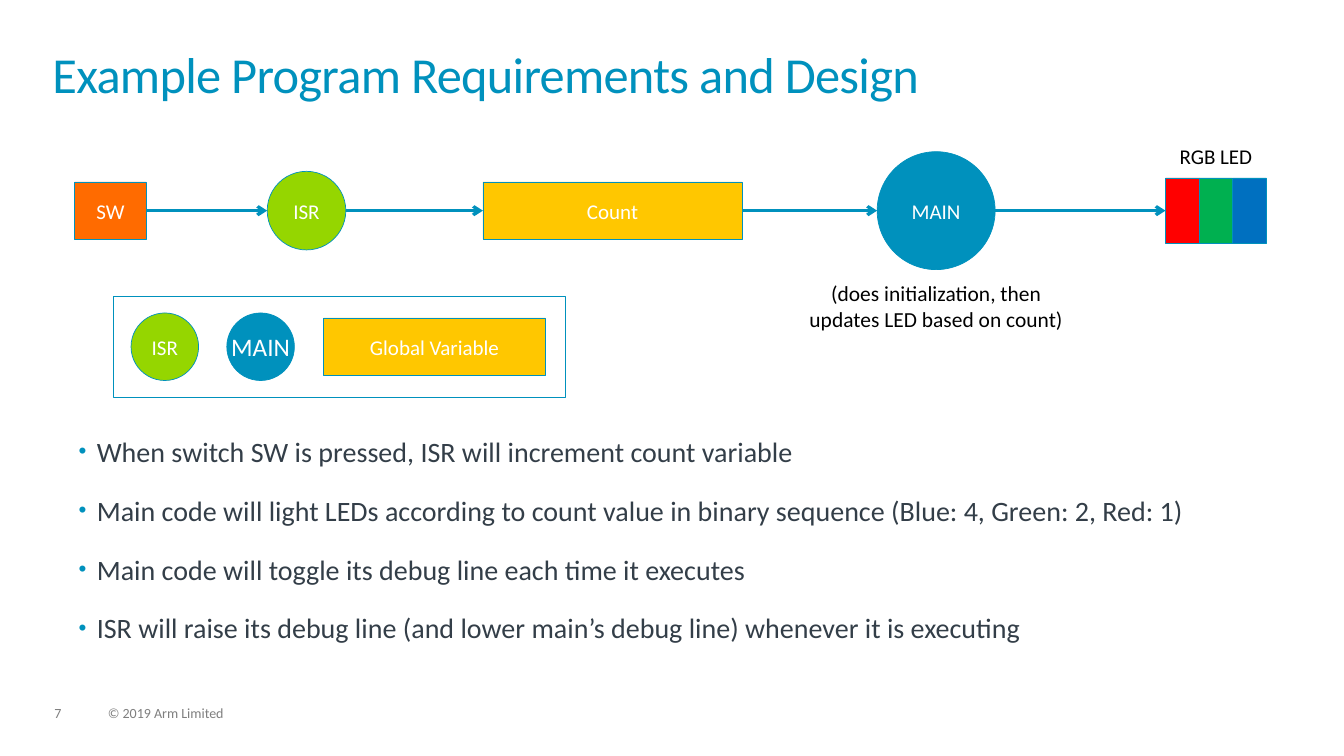
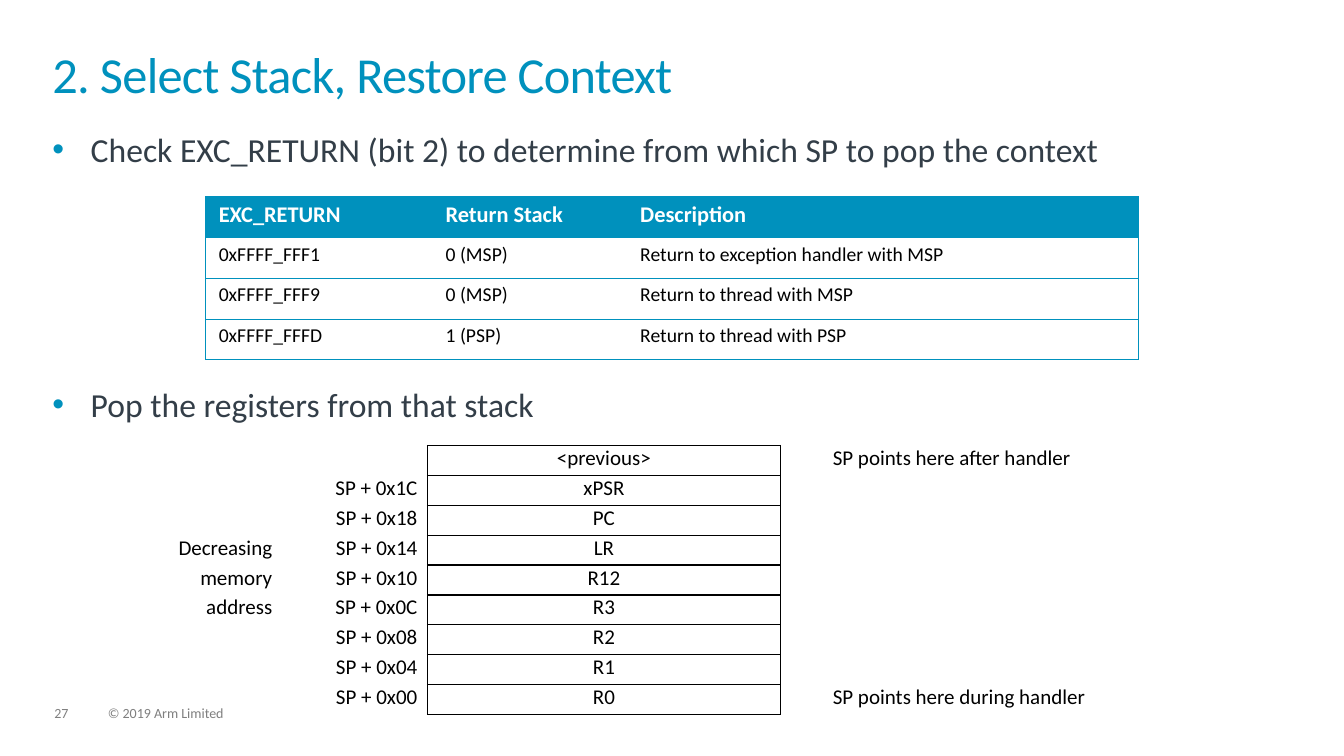
"""Build two slides on interrupt handling: a program design and a context restore."""
from lxml import etree
from pptx import Presentation
from pptx.dml.color import RGBColor
from pptx.enum.shapes import MSO_CONNECTOR, MSO_SHAPE
from pptx.enum.text import MSO_ANCHOR, MSO_AUTO_SIZE, PP_ALIGN
from pptx.oxml.ns import qn
from pptx.util import Inches, Pt

RECTANGLE, ELLIPSE = MSO_SHAPE.RECTANGLE, MSO_SHAPE.OVAL
STRAIGHT = MSO_CONNECTOR.STRAIGHT
TOP, MIDDLE = MSO_ANCHOR.TOP, MSO_ANCHOR.MIDDLE
LEFT, CENTER, RIGHT = PP_ALIGN.LEFT, PP_ALIGN.CENTER, PP_ALIGN.RIGHT
NO_FIT, GROW = MSO_AUTO_SIZE.NONE, MSO_AUTO_SIZE.SHAPE_TO_FIT_TEXT

FONT = "Calibri"
PLAIN_TABLE_STYLE = "{2D5ABB26-0587-4C30-8999-92F81FD0307C}"
COLORS = {
    "accent": "0091BD",
    "body": "333E48",
    "footer": "7F7F7F",
    "black": "000000",
    "white": "FFFFFF",
    "switch": "FF6B00",
    "interrupt": "95D600",
    "variable": "FFC700",
    "led_red": "FF0000",
    "led_green": "00B050",
    "led_blue": "0070C0",
}
FRAME_FORMAT = {
    "margin_left": 0,
    "margin_top": 0,
    "margin_right": 0,
    "margin_bottom": 0,
    "word_wrap": True,
    "auto_size": NO_FIT,
    "vertical_anchor": TOP,
}
TITLE_PARAGRAPH = {"alignment": LEFT, "line_spacing": 0.85}
FOOTER_PARAGRAPH = {"line_spacing": 0.9}
CENTERED = {"alignment": CENTER}


def color(name):
    """Return the named colour."""
    return RGBColor.from_string(COLORS[name])


def apply_format(target, values):
    """Set each attribute of the target from a dict."""
    for name, value in values.items():
        setattr(target, name, value)


def place(shape, left, top, width, height):
    """Move and size a shape, in inches."""
    apply_format(shape, {
        "left": Inches(left), "top": Inches(top),
        "width": Inches(width), "height": Inches(height),
    })


def write(paragraph, text, size, color_name, paragraph_format, bold=False):
    """Fill a paragraph with one formatted run and return the run."""
    apply_format(paragraph, paragraph_format)
    run = paragraph.add_run()
    run.text = text
    apply_format(run.font, {"name": FONT, "size": Pt(size), "bold": bold})
    run.font.color.rgb = color(color_name)
    return run


def add_text(slide, box, text, size, color_name, paragraph_format, fit=NO_FIT):
    """Add a text box without insets."""
    text_box = slide.shapes.add_textbox(*map(Inches, box))
    apply_format(text_box.text_frame, {**FRAME_FORMAT, "auto_size": fit})
    write(text_box.text_frame.paragraphs[0], text, size, color_name, paragraph_format)


def add_titled_slide(presentation, title, number):
    """Add a slide with the shared title style and footer."""
    slide = presentation.slides.add_slide(presentation.slide_layouts[1])
    shape = slide.shapes.title
    place(shape, 0.52, 0.52, 12.28, 0.72)
    apply_format(shape.text_frame, FRAME_FORMAT)
    run = write(shape.text_frame.paragraphs[0], title, 36, "accent", TITLE_PARAGRAPH)
    run.font._element.set("spc", "-50")
    for left, width, text in ((0.54, 0.34, number), (1.07, 5.07, "© 2019 Arm Limited")):
        add_text(slide, (left, 7.01, width, 0.15), text, 10, "footer", FOOTER_PARAGRAPH, GROW)
    return slide


def add_bullet(paragraph, margin, hanging, percent):
    """Give a paragraph a coloured bullet and a hanging indent."""
    properties = paragraph._p.get_or_add_pPr()
    properties.set("marL", str(Inches(margin)))
    properties.set("indent", str(-Inches(hanging)))
    bullet_color = etree.SubElement(properties, qn("a:buClr"))
    etree.SubElement(bullet_color, qn("a:srgbClr"), val=COLORS["accent"])
    etree.SubElement(properties, qn("a:buSzPct"), val=str(percent * 1000))
    etree.SubElement(properties, qn("a:buChar"), char="•")


def fill_body(slide, box, items, size, bullet, space_before):
    """Write a bulleted list in the body placeholder."""
    body = slide.placeholders[1]
    place(body, *box)
    frame = body.text_frame
    apply_format(frame, FRAME_FORMAT)
    for index, item in enumerate(items):
        paragraph = frame.add_paragraph() if index else frame.paragraphs[0]
        add_bullet(paragraph, *bullet)
        spacing = {"space_before": Pt(space_before if index else 0), "line_spacing": 1.0}
        write(paragraph, item, size, "body", spacing)


def add_node(slide, kind, box, fill=None, text="", size=15):
    """Add a thinly outlined shape with an optional centred label."""
    shape = slide.shapes.add_shape(kind, *map(Inches, box))
    shape.shadow.inherit = False
    shape.line.color.rgb = color("accent")
    shape.line.width = Pt(0.5)
    if fill:
        shape.fill.solid()
        shape.fill.fore_color.rgb = color(fill)
    else:
        shape.fill.background()
    if text:
        label_format = {**FRAME_FORMAT, "word_wrap": False, "vertical_anchor": MIDDLE}
        apply_format(shape.text_frame, label_format)
        write(shape.text_frame.paragraphs[0], text, size, "white", CENTERED)
    return shape


def add_node_row(slide, center, nodes):
    """Add nodes whose middles lie on one horizontal line."""
    return [
        add_node(slide, kind, (left, center - height / 2, width, height), fill, text, size)
        for kind, left, width, height, fill, text, size in nodes
    ]


def add_arrow(slide, start, end, center):
    """Add a horizontal arrow from one shape to the next."""
    y = Inches(center)
    arrow = slide.shapes.add_connector(STRAIGHT, start.left + start.width, y, end.left, y)
    arrow.line.color.rgb = color("accent")
    arrow.line.width = Pt(2.25)
    etree.SubElement(arrow.line._get_or_add_ln(), qn("a:tailEnd"), type="arrow")
    etree.SubElement(arrow._element.spPr, qn("a:effectLst"))


def set_borders(cell, sides, color_name, width):
    """Draw the cell borders named by the letters L, R, T and B."""
    properties = cell._tc.get_or_add_tcPr()
    for side in sides:
        line = etree.SubElement(properties, qn(f"a:ln{side}"), w=str(Pt(width)))
        fill = etree.SubElement(line, qn("a:solidFill"))
        etree.SubElement(fill, qn("a:srgbClr"), val=COLORS[color_name])


def add_plain_table(slide, left, top, widths, row_height, row_count):
    """Add an unstyled table with the given column widths and equal rows."""
    frame = slide.shapes.add_table(
        row_count, len(widths), Inches(left), Inches(top),
        Inches(sum(widths)), Inches(row_height * row_count))
    table = frame.table
    apply_format(table, {"first_row": False, "horz_banding": False})
    table._tbl.tblPr.find(qn("a:tableStyleId")).text = PLAIN_TABLE_STYLE
    for column, width in zip(table.columns, widths):
        column.width = Inches(width)
    for row in table.rows:
        row.height = Inches(row_height)
    return table


def fill_cell(cell, text, size, color_name, alignment, margins, bold=False, fill=None):
    """Write and format one table cell; margins are left, right and vertical."""
    left, right, vertical = map(Inches, margins)
    apply_format(cell, {
        "margin_left": left, "margin_right": right,
        "margin_top": vertical, "margin_bottom": vertical,
    })
    if fill:
        cell.fill.solid()
        cell.fill.fore_color.rgb = color(fill)
    else:
        cell.fill.background()
    paragraph = cell.text_frame.paragraphs[0]
    if text:
        write(paragraph, text, size, color_name, {"alignment": alignment}, bold)
    else:
        etree.SubElement(paragraph._p, qn("a:endParaRPr"), sz=str(size * 100))


def add_return_table(slide):
    """Add the table of EXC_RETURN values."""
    rows = (
        ("EXC_RETURN", "Return Stack", "Description"),
        ("0xFFFF_FFF1", "0 (MSP)", "Return to exception handler with MSP"),
        ("0xFFFF_FFF9", "0 (MSP)", "Return to thread with MSP"),
        ("0xFFFF_FFFD", "1 (PSP)", "Return to thread with PSP"),
    )
    header_format = {"size": 16, "color_name": "white", "bold": True, "fill": "accent"}
    value_format = {"size": 14, "color_name": "black"}
    table = add_plain_table(slide, 2.04, 1.95, (2.25, 1.93, 5.07), 0.405, len(rows))
    for row_index, texts in enumerate(rows):
        cell_format = value_format if row_index else header_format
        for column_index, (text, sides) in enumerate(zip(texts, ("LTB", "TB", "RTB"))):
            cell = table.cell(row_index, column_index)
            set_borders(cell, sides, "accent", 0.5)
            fill_cell(cell, text, alignment=LEFT, margins=(0.13, 0.13, 0.05), **cell_format)


def add_stack_table(slide):
    """Add the stack frame with its offsets and stack pointer notes."""
    registers = ("<previous>", "xPSR", "PC", "LR", "R12", "R3", "R2", "R1", "R0")
    last = len(registers) - 1
    direction = {3: "Decreasing", 4: "memory", 5: "address"}
    notes = {0: "SP points here after handler", last: "SP points here during handler"}
    columns = (
        ("", RIGHT, (0.1, 0.2, 0)),
        ("R", RIGHT, (0.1, 0.1, 0)),
        ("LRTB", CENTER, (0.1, 0.1, 0)),
        ("L", LEFT, (0.52, 0.1, 0)),
    )
    table = add_plain_table(slide, 0.9, 4.42, (2, 1.34, 3.5, 4.69), 2.67 / len(registers),
                            len(registers))
    for row_index, register in enumerate(registers):
        offset = f"SP + 0x{4 * (last - row_index):02X}" if row_index else ""
        texts = (direction.get(row_index, ""), offset, register, notes.get(row_index, ""))
        for column_index, (text, column) in enumerate(zip(texts, columns)):
            sides, alignment, margins = column
            cell = table.cell(row_index, column_index)
            set_borders(cell, sides, "black", 1)
            fill_cell(cell, text, 15, "black", alignment, margins)


def build_design_slide(presentation):
    """Build the slide with the program flow and its requirements."""
    slide = add_titled_slide(presentation, "Example Program Requirements and Design", "7")
    fill_body(slide, (0.52, 4.31, 12.28, 2.57), (
        "When switch SW is pressed, ISR will increment count variable",
        "Main code will light LEDs according to count value in binary sequence "
        "(Blue: 4, Green: 2, Red: 1)",
        "Main code will toggle its debug line each time it executes",
        "ISR will raise its debug line (and lower main’s debug line) whenever it is executing",
    ), 20, (0.44, 0.18, 80), 18)
    flow_center, led_left, led_width, led_height = 2.09, 11.56, 1 / 3, 0.65
    flow = add_node_row(slide, flow_center, (
        (RECTANGLE, 0.74, 0.71, 0.57, "switch", "SW", 15),
        (ELLIPSE, 2.65, 0.78, 0.78, "interrupt", "ISR", 15),
        (RECTANGLE, 4.79, 2.57, 0.57, "variable", "Count", 15),
        (ELLIPSE, 8.7, 1.17, 1.17, "accent", "MAIN", 15),
    ))
    leds = add_node_row(slide, flow_center, [
        (RECTANGLE, led_left + index * led_width, led_width, led_height, fill, "", 15)
        for index, fill in enumerate(("led_red", "led_green", "led_blue"))
    ])
    stops = flow + leds[:1]
    for start, end in zip(stops, stops[1:]):
        add_arrow(slide, start, end, flow_center)
    add_text(slide, (led_left, 1.42, 1, 0.26), "RGB LED", 15, "black", CENTERED)
    add_text(slide, (7.91, 2.78, 2.75, 0.55),
             "(does initialization, then updates LED based on count)", 15.3, "black", CENTERED)
    add_node_row(slide, 3.44, (
        (RECTANGLE, 1.12, 4.49, 1, None, "", 15),
        (ELLIPSE, 1.3, 0.67, 0.67, "interrupt", "ISR", 15),
        (ELLIPSE, 2.25, 0.67, 0.67, "accent", "MAIN", 18),
        (RECTANGLE, 3.21, 2.2, 0.57, "variable", "Global Variable", 15),
    ))


def build_stack_slide(presentation):
    """Build the slide with the return values and the stack frame."""
    slide = add_titled_slide(presentation, "2. Select Stack, Restore Context", "27")
    fill_body(slide, (0.52, 1.28, 12.28, 5.41), (
        "Check EXC_RETURN (bit 2) to determine from which SP to pop the context",
        "Pop the registers from that stack",
    ), 24, (0.38, 0.38, 100), 153.5)
    add_return_table(slide)
    add_stack_table(slide)


def main():
    """Build and save the presentation."""
    presentation = Presentation()
    apply_format(presentation, {"slide_width": Inches(13.33), "slide_height": Inches(7.5)})
    build_design_slide(presentation)
    build_stack_slide(presentation)
    presentation.save("out.pptx")


if __name__ == "__main__":
    main()
